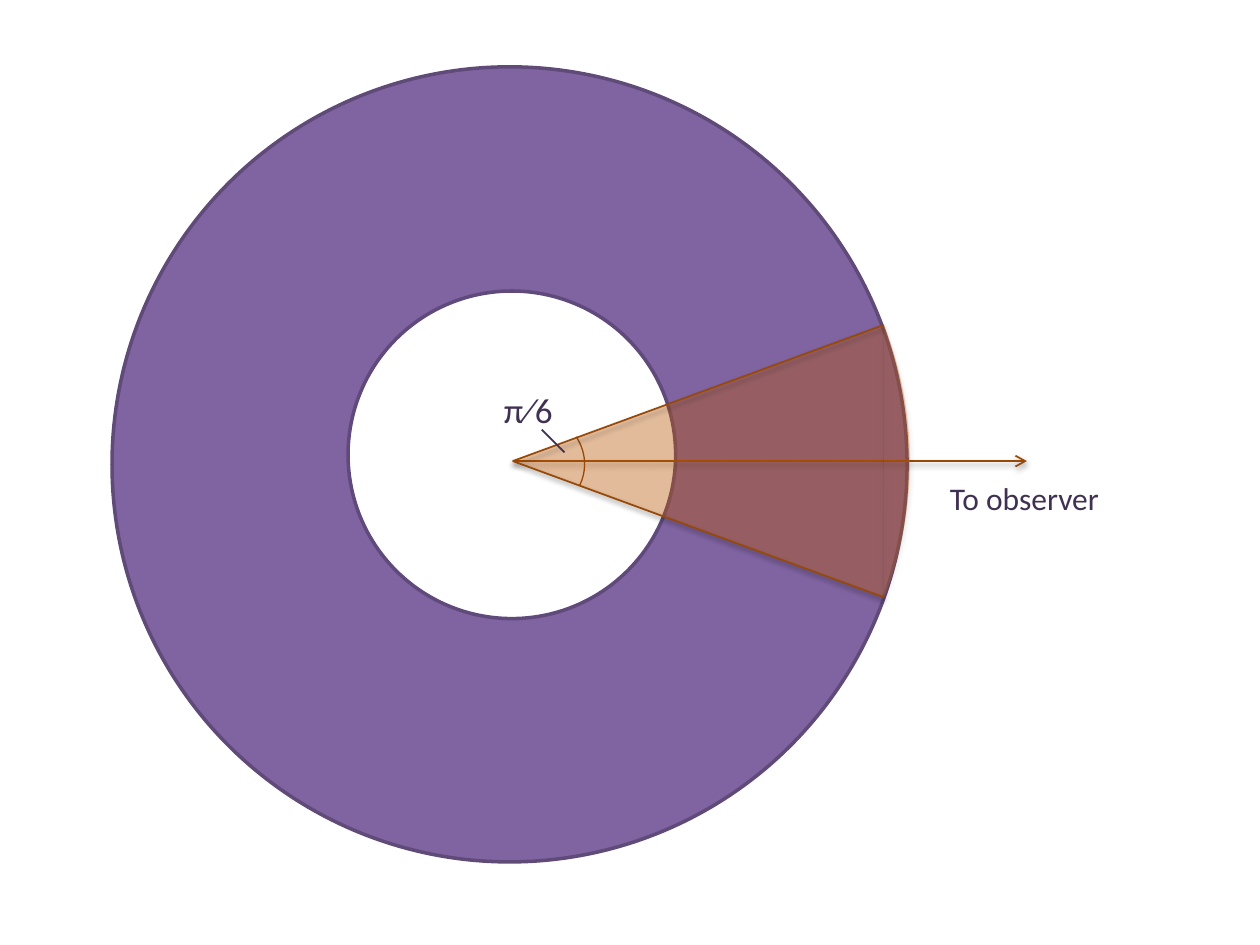
from lxml.etree import SubElement
from pptx import Presentation
from pptx.dml.color import RGBColor
from pptx.enum.shapes import MSO_CONNECTOR, MSO_SHAPE
from pptx.oxml.ns import qn
from pptx.util import Pt


def paint(code):
    return RGBColor.from_string(code)


class Sketch:
    """Holds the style and the current slide, and draws each kind of element."""

    font, ink, edge, glow = "Calibri", "403152", "984807", "E46C0A"

    def __init__(self, slide):
        self.slide = slide

    def cast(self, shape, alpha, dist):
        props = shape._element.spPr
        for old in props.findall(qn("a:effectLst")):
            props.remove(old)
        effects = SubElement(props, qn("a:effectLst"))
        if alpha:
            shade = SubElement(effects, qn("a:outerShdw"), blurRad=str(Pt(3.1)),
                               dist=str(Pt(dist)), dir="5400000", rotWithShape="0")
            tone = SubElement(shade, qn("a:srgbClr"), val="000000")
            SubElement(tone, qn("a:alpha"), val=str(alpha * 1000))

    def shape(self, kind, box, fill=None, line=None, width=1, turn=0, adjust=()):
        item = self.slide.shapes.add_shape(kind, *map(Pt, box))
        item.shadow.inherit = False
        item.rotation = turn
        for spot, value in enumerate(adjust):
            item.adjustments[spot] = value
        if fill:
            item.fill.solid()
            item.fill.fore_color.rgb = paint(fill)
        else:
            item.fill.background()
        if line:
            item.line.color.rgb = paint(line)
            item.line.width = Pt(width)
        else:
            item.line.fill.background()
        return item

    def disc(self, left, top, size, fill, line):
        self.shape(MSO_SHAPE.OVAL, (left, top, size, size), fill, line, 2)

    def wedge(self, kind, box, turn, adjust=()):
        item = self.shape(kind, box, self.glow, turn=turn, adjust=adjust)
        tone = item._element.spPr.find(qn("a:solidFill"))[0]
        SubElement(tone, qn("a:alpha"), val="33000")
        self.cast(item, 35, 1.8)

    def line(self, start, end, color, shadow=True, arrow=False):
        item = self.slide.shapes.add_connector(
            MSO_CONNECTOR.STRAIGHT, *map(Pt, start + end))
        item.line.color.rgb = paint(color)
        item.line.width = Pt(1)
        if arrow:
            SubElement(item.line._get_or_add_ln(), qn("a:tailEnd"), type="arrow")
        self.cast(item, 38 if shadow else 0, 1.6)

    def text(self, box, words, size, wrap):
        frame = self.slide.shapes.add_textbox(*map(Pt, box)).text_frame
        frame.word_wrap = wrap
        run = frame.paragraphs[0].add_run()
        run.text = words
        run.font.name = self.font
        run.font.size = Pt(size)
        run.font.color.rgb = paint(self.ink)


def main():
    deck = Presentation()
    deck.slide_width, deck.slide_height = Pt(720), Pt(540)
    art = Sketch(deck.slides.add_slide(deck.slide_layouts[6]))
    apex_x, apex_y = apex = (293, 263.5)
    reach, rise = 212, 77.8

    art.disc(64, 38.2, 454.3, "8064A2", "5F4A78")
    art.disc(198.9, 166.3, 187.2, "FFFFFF", "604A7B")
    art.line(apex, (586.8, apex_y), art.edge, arrow=True)
    left = apex_x + reach / 2 - rise
    top = apex_y - reach / 2
    art.wedge(MSO_SHAPE.ISOSCELES_TRIANGLE, (left, top, 2 * rise, reach), 270)
    art.shape(MSO_SHAPE.ARC, (251.3, 231.8, 82.8, 67), line=art.edge,
              width=0.75, adjust=(202.11, 10.46))
    for side in (-1, 1):
        art.line(apex, (apex_x + reach, apex_y + side * rise), art.edge)
    art.text((280.8, 218.2, 92.2, 31.5), "π⁄6", 20, True)
    art.wedge(MSO_SHAPE.CHORD, (92.2, 49.7, 427.7, 427.7), 201.2, (82.49, 108.1))
    art.line((309.6, 245.5), (322.6, 258.5), art.ink, shadow=False)
    art.text((535.7, 270, 102.2, 29), "To observer", 18, False)
    deck.save("out.pptx")


if __name__ == "__main__":
    main()
